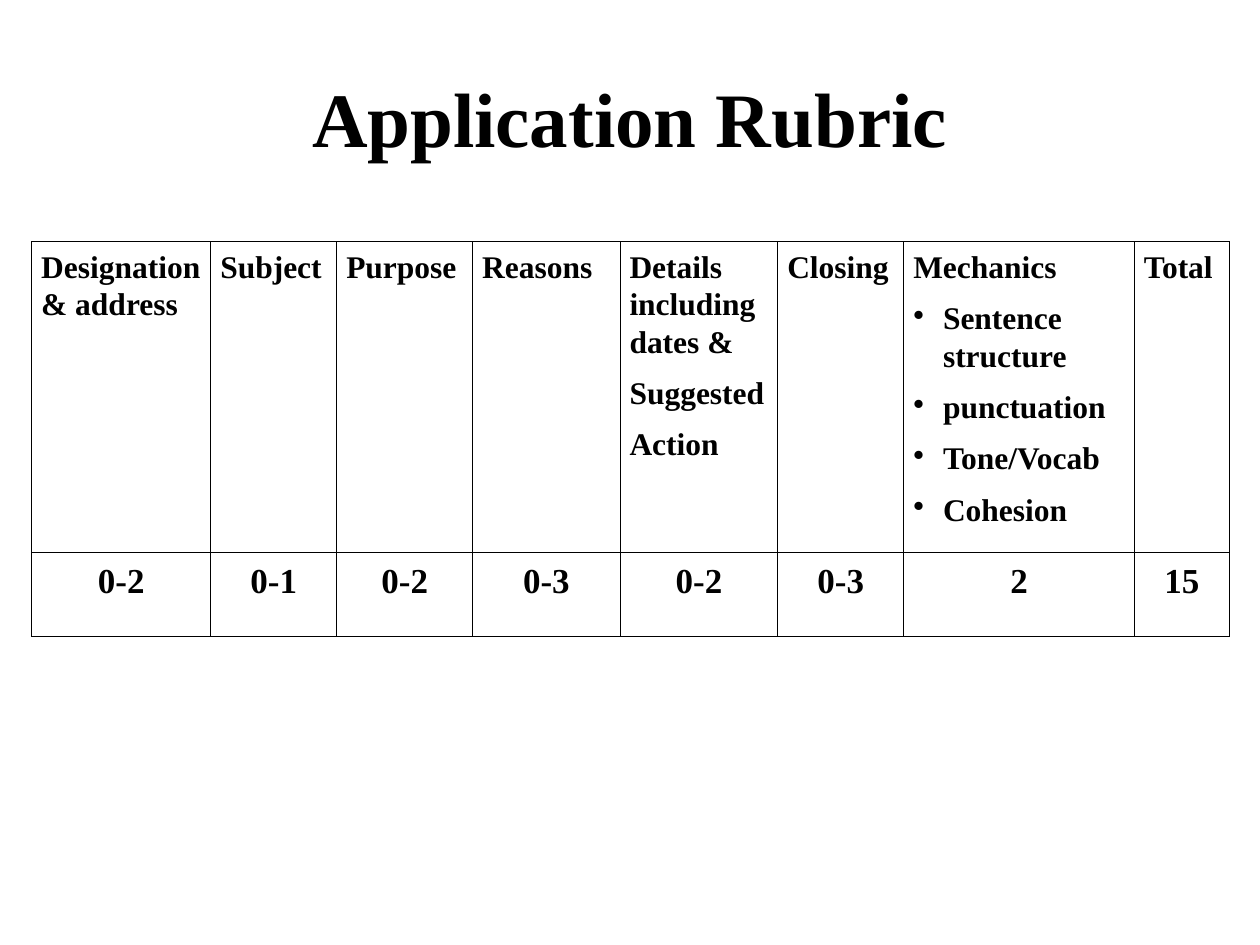
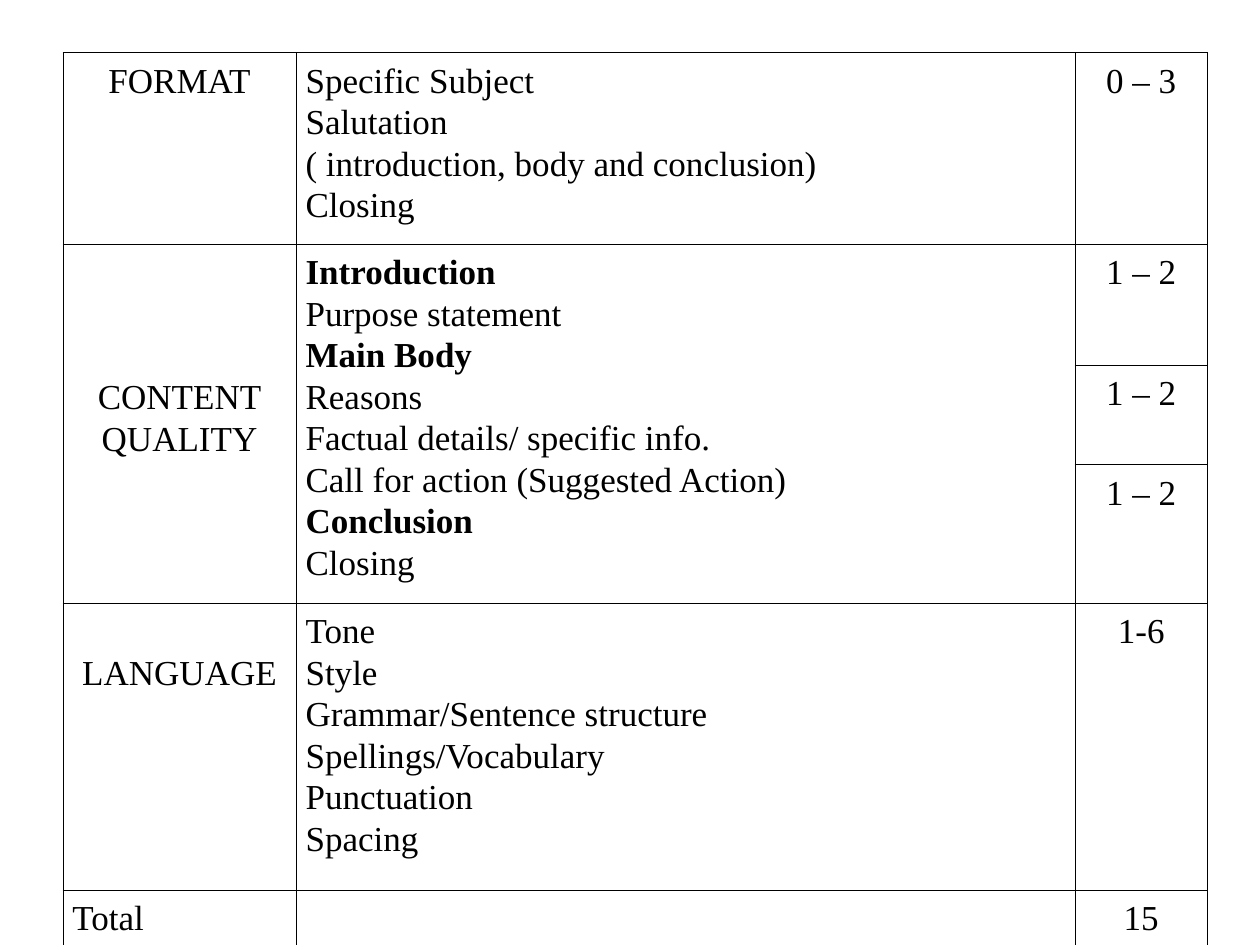
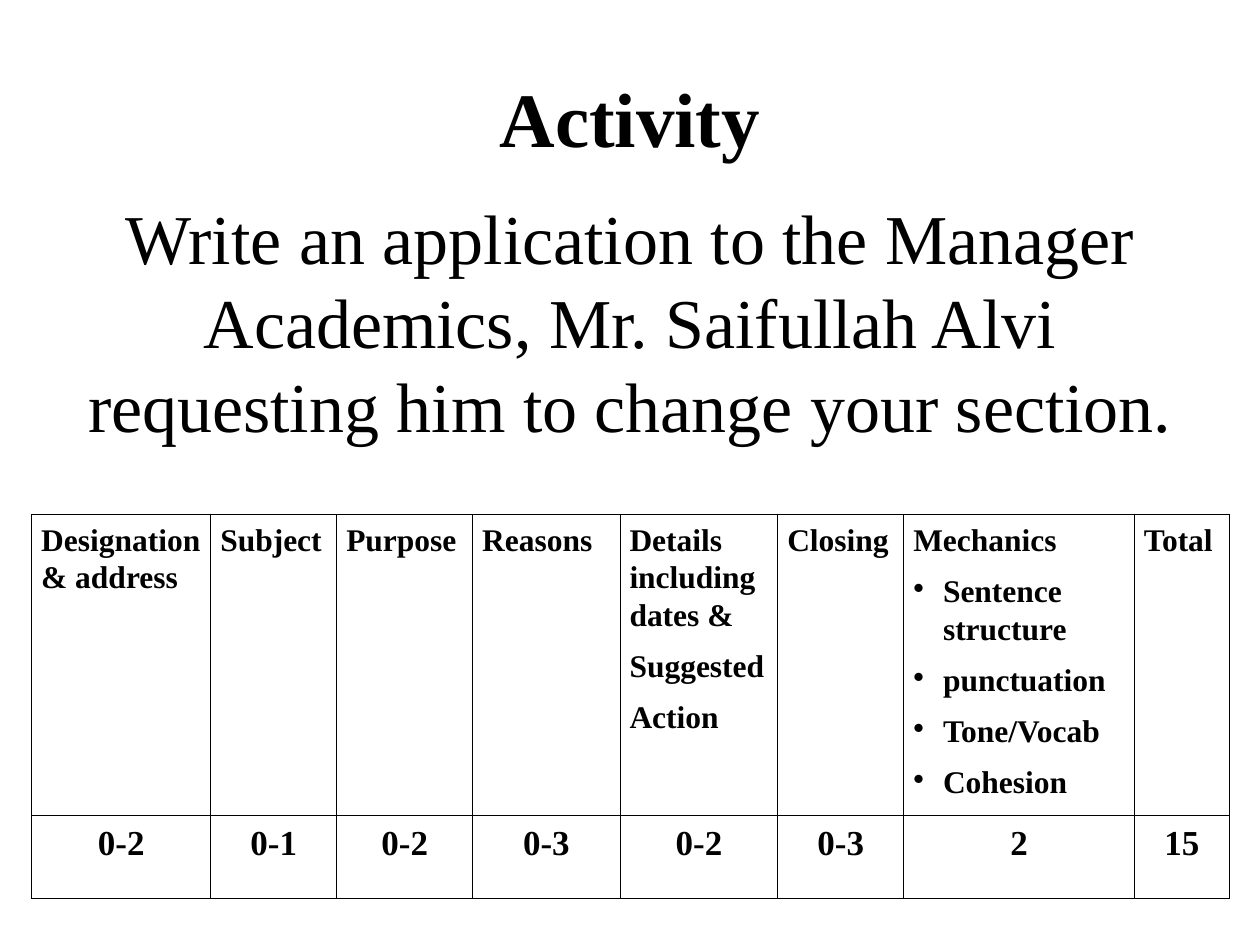
import pptx
import pptx.dml.color
import pptx.enum.text
import pptx.oxml
import pptx.oxml.ns
import pptx.util

Cm = pptx.util.Cm
Pt = pptx.util.Pt
ALIGN = pptx.enum.text.PP_ALIGN
ANCHOR = pptx.enum.text.MSO_ANCHOR

INK = pptx.dml.color.RGBColor(0x00, 0x00, 0x00)
PAPER = pptx.dml.color.RGBColor(0xFF, 0xFF, 0xFF)
FONT = "Times New Roman"

TITLE_FONT = {"name": FONT, "size": Pt(44), "bold": True}
TASK_FONT = {"name": FONT, "size": Pt(40), "bold": False}
CRITERION_FONT = {"name": FONT, "size": Pt(18), "bold": True}
MARK_FONT = {"name": FONT, "size": Pt(20), "bold": True}
SCHEME_FONT = {"name": FONT, "size": Pt(20), "bold": False}
SCHEME_HEADING_FONT = {**SCHEME_FONT, "bold": True}

CENTRED = {"alignment": ALIGN.CENTER}
CRITERION_LINE = {"alignment": ALIGN.LEFT, "line_spacing": 1.07, "space_after": Pt(8)}
MARK_LINE = {**CRITERION_LINE, **CENTRED}
SCHEME_LINE = {"alignment": ALIGN.LEFT, "line_spacing": 1.07}
SCHEME_CENTRED = {**SCHEME_LINE, **CENTRED}

INSET_X, INSET_Y = 0.19, 0.13
CELL_INSETS = {
    "margin_left": Cm(INSET_X),
    "margin_right": Cm(INSET_X),
    "margin_top": Cm(INSET_Y),
    "margin_bottom": Cm(INSET_Y),
}
BULLET_INDENT = Cm(0.6)
BORDER_WIDTH = Pt(0.45)
SCHEME_LINE_HEIGHT = 0.84

TITLE_BOX = (1.27, 0.76, 22.86, 3.18)
TASK_BOX = (1.27, 3.61, 22.86, 5.72)

RUBRIC_COLUMNS = (3.61, 2.54, 2.74, 2.97, 3.18, 2.54, 4.65, 1.91)
MARK_ROW_HEIGHT = 1.68
RUBRIC = (
    (("Designation & address",), "0-2"),
    (("Subject",), "0-1"),
    (("Purpose",), "0-2"),
    (("Reasons",), "0-3"),
    (("Details including dates &", "Suggested", "Action"), "0-2"),
    (("Closing",), "0-3"),
    (("Mechanics", "Sentence structure", "punctuation", "Tone/Vocab", "Cohesion"), "2"),
    (("Total",), "15"),
)

SCHEME_COLUMNS = (4.7, 15.7, 2.67)
SCHEME_ROWS = (3.86, 2.44, 2.01, 2.79, 5.79, 0.97)
SCHEME_HEADINGS = ("Introduction", "Main Body", "Conclusion")
# Area, lines it is lowered by, its points, marks (one row each)
SCHEME = (
    (("FORMAT",), 0,
     ("Specific Subject", "Salutation", "( introduction, body and conclusion)", "Closing"),
     ("0 – 3",)),
    (("CONTENT", "QUALITY"), 3,
     ("Introduction", "Purpose statement", "Main Body", "Reasons",
      "Factual details/ specific info.", "Call for action (Suggested Action)",
      "Conclusion", "Closing"),
     ("1 – 2", "1 – 2", "1 – 2")),
    (("LANGUAGE",), 1,
     ("Tone", "Style", "Grammar/Sentence structure", "Spellings/Vocabulary",
      "Punctuation", "Spacing"),
     ("1-6",)),
    (("Total",), 0, (), ("15",)),
)


def apply_format(target, values):
    for attribute, value in values.items():
        setattr(target, attribute, value)


def write_lines(frame, lines, font, line_format):
    for number, line in enumerate(lines):
        paragraph = frame.add_paragraph() if number else frame.paragraphs[0]
        apply_format(paragraph, line_format)
        run = paragraph.add_run()
        run.text = line
        apply_format(run.font, font)
        run.font.color.rgb = INK


def add_bullet(paragraph):
    properties = paragraph._p.get_or_add_pPr()
    properties.set("marL", str(BULLET_INDENT))
    properties.set("indent", str(-BULLET_INDENT))
    bullet = pptx.oxml.parse_xml(
        f'<a:buChar {pptx.oxml.ns.nsdecls("a")} char="•"/>')
    properties.append(bullet)


def add_borders(cell):
    properties = cell._tc.get_or_add_tcPr()
    for position, side in enumerate(("lnL", "lnR", "lnT", "lnB")):
        properties.insert(position, pptx.oxml.parse_xml(
            f'<a:{side} {pptx.oxml.ns.nsdecls("a")} w="{BORDER_WIDTH}">'
            f'<a:solidFill><a:srgbClr val="{INK}"/></a:solidFill></a:{side}>'))


def add_grid(slide, left, top, columns, rows, fill=None):
    """Add a ruled table with unfilled cells unless a fill colour is given."""
    grid = slide.shapes.add_table(
        len(rows), len(columns), Cm(left), Cm(top), Cm(sum(columns)), Cm(sum(rows))).table
    apply_format(grid, {"first_row": False, "horz_banding": False})
    for column, width in zip(grid.columns, columns):
        column.width = Cm(width)
    for row, height in zip(grid.rows, rows):
        row.height = Cm(height)
    for cell in grid.iter_cells():
        apply_format(cell, CELL_INSETS)
        if fill is None:
            cell.fill.background()
        else:
            cell.fill.solid()
            cell.fill.fore_color.rgb = fill
        add_borders(cell)
    return grid


def place_text(shape, box, text, font):
    left, top, width, height = map(Cm, box)
    apply_format(shape, {"left": left, "top": top, "width": width, "height": height})
    apply_format(shape.text_frame, {
        "word_wrap": True,
        "auto_size": pptx.enum.text.MSO_AUTO_SIZE.NONE,
        "vertical_anchor": ANCHOR.MIDDLE,
    })
    write_lines(shape.text_frame, (text,), font, CENTRED)


def add_titled_slide(deck, title):
    slide = deck.slides.add_slide(deck.slide_layouts.get_by_name("Title Only"))
    place_text(slide.shapes.title, TITLE_BOX, title, TITLE_FONT)
    return slide


def add_rubric(slide, left, top, criteria_height):
    grid = add_grid(slide, left, top, RUBRIC_COLUMNS,
                    (criteria_height, MARK_ROW_HEIGHT), PAPER)
    for column, (criterion, mark) in enumerate(RUBRIC):
        frame = grid.cell(0, column).text_frame
        write_lines(frame, criterion, CRITERION_FONT, CRITERION_LINE)
        if criterion[0] == "Mechanics":
            for paragraph in frame.paragraphs[1:]:
                add_bullet(paragraph)
        write_lines(grid.cell(1, column).text_frame, (mark,), MARK_FONT, MARK_LINE)


def add_marking_scheme(slide, left, top):
    grid = add_grid(slide, left, top, SCHEME_COLUMNS, SCHEME_ROWS)
    row = 0
    for area, lowered_by, points, marks in SCHEME:
        last_row = row + len(marks) - 1
        area_cell, points_cell = grid.cell(row, 0), grid.cell(row, 1)
        if last_row > row:
            for column, cell in enumerate((area_cell, points_cell)):
                cell.merge(grid.cell(last_row, column))
        area_cell.margin_top = Cm(INSET_Y + lowered_by * SCHEME_LINE_HEIGHT)
        write_lines(area_cell.text_frame, area, SCHEME_FONT,
                    SCHEME_CENTRED if points else SCHEME_LINE)
        write_lines(points_cell.text_frame, points, SCHEME_FONT, SCHEME_LINE)
        for paragraph in points_cell.text_frame.paragraphs:
            for run in paragraph.runs:
                if run.text in SCHEME_HEADINGS:
                    apply_format(run.font, SCHEME_HEADING_FONT)
        for offset, mark in enumerate(marks):
            write_lines(grid.cell(row + offset, 2).text_frame, (mark,),
                        SCHEME_FONT, SCHEME_CENTRED)
        row = last_row + 1


def main():
    deck = pptx.Presentation()
    apply_format(deck, {"slide_width": Cm(25.4), "slide_height": Cm(19.05)})

    add_rubric(add_titled_slide(deck, "Application Rubric"), 0.64, 4.87, 6.27)

    scheme_slide = deck.slides.add_slide(deck.slide_layouts.get_by_name("Blank"))
    add_marking_scheme(scheme_slide, 1.27, 1.06)

    activity = add_titled_slide(deck, "Activity")
    task = activity.shapes.add_textbox(*map(Cm, TASK_BOX))
    place_text(task, TASK_BOX,
               "Write an application to the Manager Academics, Mr. Saifullah Alvi "
               "requesting him to change your section.", TASK_FONT)
    add_rubric(activity, 0.64, 10.37, 6.06)

    deck.save("out.pptx")


if __name__ == "__main__":
    main()
